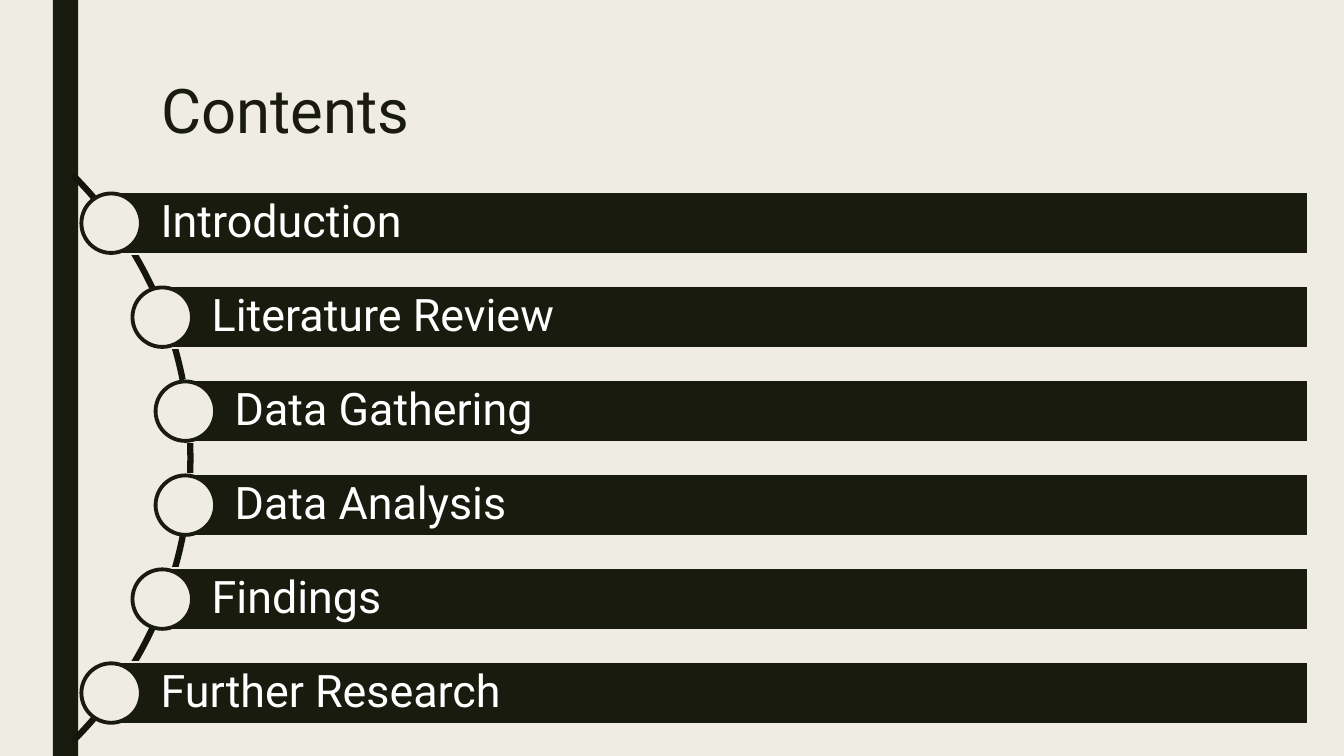
import math
from dataclasses import dataclass

import pptx
import pptx.dml.color
import pptx.enum.shapes
import pptx.enum.text
import pptx.util

SHAPES = pptx.enum.shapes.MSO_SHAPE
ANCHOR = pptx.enum.text.MSO_ANCHOR
SLIDE_W, SLIDE_H = pptx.util.Inches(13.33), pptx.util.Inches(7.5)


@dataclass(frozen=True)
class Theme:
    font: str = "Roboto"
    paper: str = "EFEDE3"
    dark: str = "191B0E"
    arc: str = "14160B"
    label: str = "FFFFFF"
    title_size: float = 44
    label_size: float = 32
    ring_width: float = 2.75
    bar_edge: float = 1.5


@dataclass(frozen=True)
class Box:
    left: int
    top: int
    width: int
    height: int


@dataclass(frozen=True)
class Chapter:
    name: str
    row: int


THEME = Theme()


def across(percent: float) -> int:
    """Share of the slide's width."""
    return round(SLIDE_W * percent / 100)


def down(percent: float) -> int:
    """Share of the slide's height."""
    return round(SLIDE_H * percent / 100)


def centred(x: int, y: int, size: int) -> Box:
    return Box(x - size // 2, y - size // 2, size, size)


def rgb(value: str) -> pptx.dml.color.RGBColor:
    return pptx.dml.color.RGBColor.from_string(value)


def apply(target, values: dict) -> None:
    for name, value in values.items():
        setattr(target, name, value)


def draw(slide, kind, box: Box, fill: str = "", line: str = "", width: float = 0):
    shape = slide.shapes.add_shape(kind, box.left, box.top, box.width, box.height)
    shape.shadow.inherit = False
    if fill:
        shape.fill.solid()
        shape.fill.fore_color.rgb = rgb(fill)
    else:
        shape.fill.background()
    if line:
        shape.line.color.rgb = rgb(line)
        shape.line.width = pptx.util.Pt(width)
    else:
        shape.line.fill.background()
    return shape


def write(frame, text: str, size: float, color: str, spacing: float, layout: dict) -> None:
    apply(frame, {"word_wrap": True, **layout})
    paragraph = frame.paragraphs[0]
    apply(paragraph, {"alignment": pptx.enum.text.PP_ALIGN.LEFT, "line_spacing": spacing})
    run = paragraph.add_run()
    run.text = text
    apply(run.font, {"name": THEME.font, "size": pptx.util.Pt(size)})
    run.font.color.rgb = rgb(color)


# Curve that the chapters follow, and the rhythm of their rows
CURVE_X, CURVE_Y = across(-15.56), down(60.6)
CURVE_SIZE = down(106)
DOT_RADIUS = down(52.53)
ROW_PITCH, BAR_HEIGHT, DOT_SIZE = down(12.43), down(8.27), down(7.87)
BAR_RIGHT = across(97.33)
BAR_LAYOUT = {
    "vertical_anchor": ANCHOR.MIDDLE,
    "margin_left": across(3.68),
    "margin_right": across(0.68),
    "margin_top": down(1.2),
    "margin_bottom": down(1.2),
}
CHAPTERS = [
    Chapter(name, row)
    for row, name in enumerate(
        ["Introduction", "Literature Review", "Data Gathering",
         "Data Analysis", "Findings", "Further Research"]
    )
]


def draw_chapter(slide, chapter: Chapter) -> None:
    offset = round((chapter.row - (len(CHAPTERS) - 1) / 2) * ROW_PITCH)
    x = CURVE_X + round(math.sqrt(DOT_RADIUS**2 - offset**2))
    y = CURVE_Y + offset
    bar_box = Box(x, y - BAR_HEIGHT // 2, BAR_RIGHT - x, BAR_HEIGHT)
    bar = draw(slide, SHAPES.RECTANGLE, bar_box, THEME.dark, THEME.paper, THEME.bar_edge)
    write(bar.text_frame, chapter.name, THEME.label_size, THEME.label, 0.9, BAR_LAYOUT)
    draw(slide, SHAPES.OVAL, centred(x, y, DOT_SIZE), THEME.paper, THEME.dark, THEME.ring_width)


def main() -> None:
    deck = pptx.Presentation()
    apply(deck, {"slide_width": SLIDE_W, "slide_height": SLIDE_H})
    slide = deck.slides.add_slide(deck.slide_layouts[6])
    slide.background.fill.solid()
    slide.background.fill.fore_color.rgb = rgb(THEME.paper)

    # Side rail
    draw(slide, SHAPES.RECTANGLE, Box(across(3.93), 0, across(1.88), SLIDE_H), THEME.dark)

    # Title
    title = slide.shapes.add_textbox(across(11.25), down(10), across(78.77), down(21.6))
    write(title.text_frame, "Contents", THEME.title_size, THEME.dark, 0.89,
          {"vertical_anchor": ANCHOR.TOP})

    # Quarter arc, from -45 to 45 degrees
    arc = draw(slide, SHAPES.BLOCK_ARC, centred(CURVE_X, CURVE_Y, CURVE_SIZE),
               line=THEME.arc, width=THEME.ring_width)
    for index, value in enumerate([189, 27, 0.003]):
        arc.adjustments[index] = value

    # Chapters
    for chapter in CHAPTERS:
        draw_chapter(slide, chapter)

    deck.save("out.pptx")


if __name__ == "__main__":
    main()
